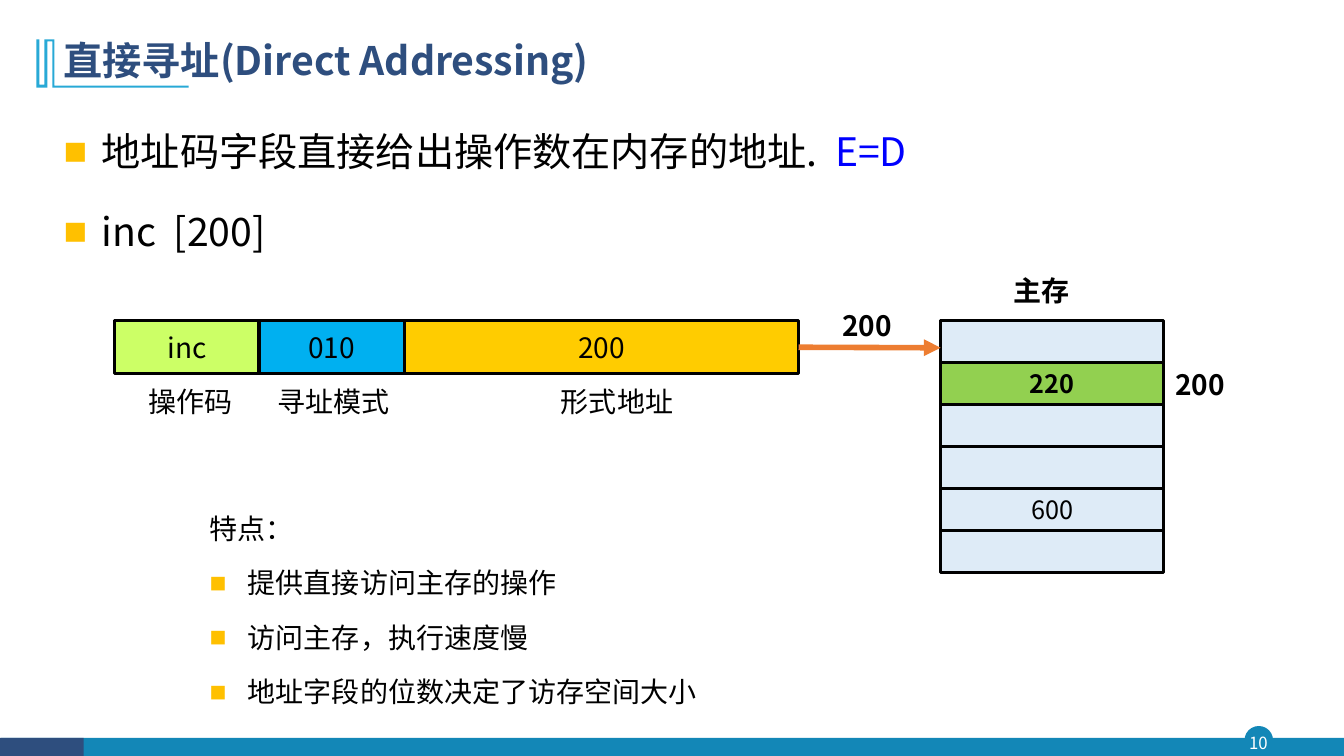
from dataclasses import dataclass

from lxml.etree import SubElement as Sub
from pptx import Presentation
from pptx.dml.color import RGBColor as Rgb
from pptx.enum.shapes import MSO_CONNECTOR as Link, MSO_SHAPE as Kind
from pptx.enum.text import MSO_ANCHOR as Anchor, MSO_AUTO_SIZE as Fit, PP_ALIGN as Align
from pptx.oxml.ns import qn
from pptx.shapes.autoshape import Shape
from pptx.text.text import TextFrame, _Paragraph as Para
from pptx.util import Inches, Pt

FONT = "Noto Sans CJK SC"
HUES = {
    "black": "000000", "white": "FFFFFF", "blue": "0000FF",
    "navy": "2E4E7E", "teal": "1387B7", "cyan": "28A9D6",
    "lime": "CCFF66", "sky": "00B0F0", "gold": "FFCC00",
    "pale": "DEEBF7", "green": "92D050", "amber": "FFC000", "orange": "ED7D31",
}


@dataclass
class Run:
    text: str
    hue: str = "black"


@dataclass
class Line:
    runs: list[Run]
    mark: bool = False


@dataclass
class Box:
    left: float
    top: float
    wide: float
    high: float
    fill: str
    text: str = ""
    kind: Kind = Kind.RECTANGLE
    edge: str = ""
    rim: float = 1
    size: float = 20
    bold: bool = False


@dataclass
class Label:
    left: float
    top: float
    wide: float
    high: float
    text: str
    bold: bool = False


def tint(hue: str) -> Rgb:
    return Rgb.from_string(HUES[hue])


def place(shape: Shape, left: float, top: float, wide: float, high: float) -> None:
    shape.left, shape.top = Inches(left), Inches(top)
    shape.width, shape.height = Inches(wide), Inches(high)


def bullet(para: Para) -> None:
    props = para._p.get_or_add_pPr()
    props.set("marL", str(Inches(0.38)))
    props.set("indent", str(-Inches(0.38)))
    Sub(Sub(props, qn("a:buClr")), qn("a:srgbClr"), val=HUES["amber"])
    Sub(props, qn("a:buFont"), typeface="Arial")
    Sub(props, qn("a:buChar"), char="■")


def write(frame: TextFrame, lines: list[Line], *, size: float = 20,
          bold: bool = False, align: Align = Align.CENTER, lead: float = 1,
          gap: float = 0, anchor: Anchor = Anchor.TOP, wrap: bool = False) -> None:
    frame.auto_size = Fit.NONE
    frame.word_wrap = wrap
    frame.vertical_anchor = anchor
    for i, line in enumerate(lines):
        para = frame.add_paragraph() if i else frame.paragraphs[0]
        para.alignment = align
        para.line_spacing = lead
        para.space_before = Pt(gap if i else 0)
        para.space_after = Pt(0)
        if line.mark:
            bullet(para)
        for part in line.runs:
            run = para.add_run()
            run.text = part.text
            font = run.font
            font.size, font.bold, font.name = Pt(size), bold, FONT
            font.color.rgb = tint(part.hue)
            Sub(font._element, qn("a:ea"), typeface=FONT)


def paint(shape: Shape, fill: str, edge: str = "", rim: float = 1) -> None:
    shape.shadow.inherit = False
    shape.fill.solid()
    shape.fill.fore_color.rgb = tint(fill)
    if edge:
        shape.line.color.rgb = tint(edge)
        shape.line.width = Pt(rim)
    else:
        shape.line.fill.background()


def draw(shapes, box: Box) -> Shape:
    shape = shapes.add_shape(box.kind, 0, 0, 0, 0)
    place(shape, box.left, box.top, box.wide, box.high)
    paint(shape, box.fill, box.edge, box.rim)
    if box.text:
        write(shape.text_frame, [Line([Run(box.text)])], size=box.size,
              bold=box.bold, anchor=Anchor.MIDDLE)
    return shape


def note(shapes, label: Label) -> None:
    box = shapes.add_textbox(0, 0, 0, 0)
    place(box, label.left, label.top, label.wide, label.high)
    write(box.text_frame, [Line([Run(label.text)])], bold=label.bold)


def frame_slide(shapes) -> None:
    """Draw the footer, the page number and the mark beside the title."""
    for box in (
        Box(12.35, 7.21, 0.27, 0.27, "teal", kind=Kind.OVAL, edge="teal"),
        Box(0.01, 7.32, 13.32, 0.19, "teal"),
        Box(0, 7.32, 0.83, 0.19, "navy"),
    ):
        draw(shapes, box)
    page = shapes.add_textbox(0, 0, 0, 0)
    place(page, 12.32, 7.21, 0.32, 0.31)
    frame = page.text_frame
    frame.margin_left = frame.margin_right = frame.margin_top = frame.margin_bottom = 0
    write(frame, [Line([Run("10", "white")])], size=12, anchor=Anchor.MIDDLE, wrap=True)

    edge = [(0.54, 0.39), (0.54, 0.85), (1.87, 0.85), (1.87, 0.87), (0.52, 0.87),
            (0.52, 0.41), (0.47, 0.41), (0.47, 0.87), (0.36, 0.87), (0.36, 0.39),
            (0.39, 0.39), (0.39, 0.84), (0.44, 0.84), (0.44, 0.39)]
    spots = [(Inches(x), Inches(y)) for x, y in edge]
    pen = shapes.build_freeform(*spots[0])
    pen.add_line_segments(spots[1:], close=True)
    paint(pen.convert_to_shape(), "cyan")


def fill_text(shapes) -> None:
    title, body = shapes.title, shapes.placeholders[1]
    place(title, 0.53, 0.28, 11.5, 0.68)
    write(title.text_frame, [Line([Run("直接寻址(Direct Addressing)", "navy")])], size=28,
          bold=True, align=Align.LEFT, lead=0.9, anchor=Anchor.MIDDLE, wrap=True)
    place(body, 0.53, 1.03, 11.5, 1.74)
    write(body.text_frame, [
        Line([Run("地址码字段直接给出操作数在内存的地址.  "), Run("E=D", "blue")], True),
        Line([Run("inc  [200]")], True),
    ], size=28, align=Align.JUSTIFY, lead=1.4, gap=10, wrap=True)

    traits = shapes.add_textbox(0, 0, 0, 0)
    place(traits, 1.98, 4.96, 6.02, 2.18)
    points = ["提供直接访问主存的操作", "访问主存，执行速度慢", "地址字段的位数决定了访存空间大小"]
    write(traits.text_frame,
          [Line([Run("特点：")])] + [Line([Run(point)], True) for point in points],
          align=Align.JUSTIFY, lead=1.2, gap=10, wrap=True)


def draw_code(shapes) -> Shape:
    """Draw the instruction fields and return the address field."""
    left = 1.14
    for text, wide, fill in (("inc", 1.43, "lime"), ("010", 1.44, "sky"), ("200", 3.91, "gold")):
        field = draw(shapes, Box(left, 3.18, wide, 0.53, fill, text, edge="black", rim=2.25))
        left += wide
    return field


def draw_store(shapes) -> None:
    step = (5.26 - 3.18) / 5
    for i, text in enumerate(["", "220", "", "", "600", ""]):
        hit = i == 1
        draw(shapes, Box(9.33, 3.18 + i * step, 2.21, 0.42, "green" if hit else "pale",
                         text, edge="black", rim=2, size=18, bold=hit))


def join(shapes, field: Shape) -> None:
    mid = Inches(3.45)
    arrow = shapes.add_connector(Link.STRAIGHT, Inches(7.92), mid, Inches(9.33), mid)
    arrow.begin_connect(field, 3)
    arrow.line.color.rgb = tint("orange")
    arrow.line.width = Pt(4)
    Sub(arrow.line._get_or_add_ln(), qn("a:tailEnd"), type="triangle")
    Sub(arrow._element.spPr, qn("a:effectLst"))


def main() -> None:
    deck = Presentation()
    deck.slide_width, deck.slide_height = Inches(13.33), Inches(7.5)
    shapes = deck.slides.add_slide(deck.slide_layouts[1]).shapes
    frame_slide(shapes)
    fill_text(shapes)
    field = draw_code(shapes)
    draw_store(shapes)
    join(shapes, field)
    for label in (
        Label(8.24, 3.01, 0.72, 0.44, "200", True),
        Label(1.38, 3.77, 1.03, 0.44, "操作码"),
        Label(2.65, 3.77, 1.32, 0.44, "寻址模式"),
        Label(4.23, 3.77, 3.78, 0.44, "形式地址"),
        Label(9.95, 2.66, 0.76, 0.44, "主存", True),
        Label(11.54, 3.6, 0.72, 0.44, "200", True),
    ):
        note(shapes, label)
    deck.save("out.pptx")


if __name__ == "__main__":
    main()
